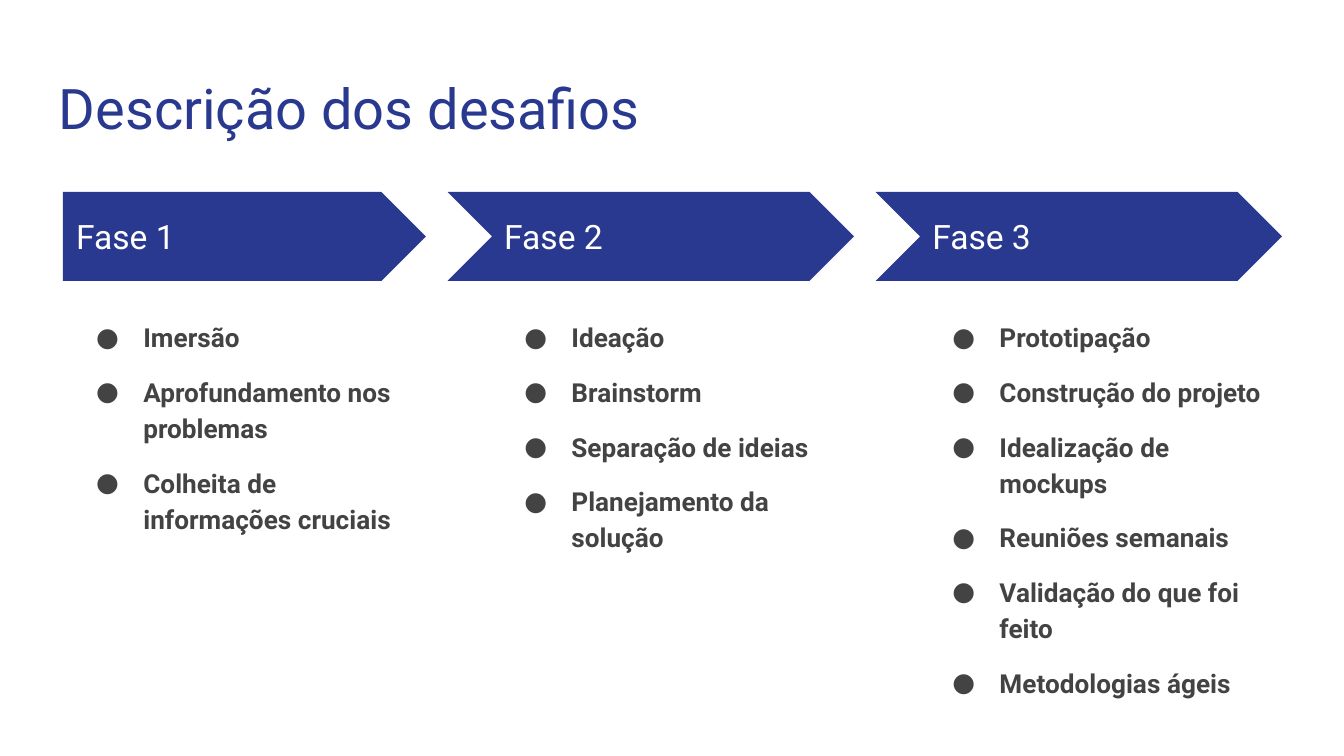
from lxml import etree
from pptx import Presentation
from pptx import util as u
from pptx.dml.color import RGBColor
from pptx.enum import shapes, text
from pptx.oxml.ns import qn

BLUE, GREY, WHITE = "2A3990", "434343", "FFFFFF"
FONT = "Roboto"
PHASES = [
    ("Fase 1", ["Imersão", "Aprofundamento nos problemas",
                "Colheita de informações cruciais"]),
    ("Fase 2", ["Ideação", "Brainstorm", "Separação de ideias",
                "Planejamento da solução"]),
    ("Fase 3", ["Prototipação", "Construção do projeto", "Idealização de mockups",
                "Reuniões semanais", "Validação do que foi feito",
                "Metodologias ágeis"]),
]


def style(para, size, color, bold=False):
    para.font.name = FONT
    para.font.size = u.Pt(size)
    para.font.bold = bold
    para.font.color.rgb = RGBColor.from_string(color)


def set_frame(box, anchor):
    frame = box.text_frame
    frame.word_wrap = True
    frame.auto_size = text.MSO_AUTO_SIZE.NONE
    frame.vertical_anchor = anchor
    frame.margin_left = frame.margin_right = u.Cm(0.25)
    frame.margin_top = frame.margin_bottom = u.Cm(0.25)
    return frame


deck = Presentation()
deck.slide_width, deck.slide_height = u.Cm(25.4), u.Cm(14.29)
page = deck.slides.add_slide(deck.slide_layouts[5])

# Title
title = page.shapes.title
title.left, title.top = u.Cm(0.86), u.Cm(1.14)
title.width, title.height = u.Cm(23.67), u.Cm(1.68)
frame = set_frame(title, text.MSO_ANCHOR.TOP)
frame.text = "Descrição dos desafios"
frame.paragraphs[0].alignment = text.PP_ALIGN.LEFT
style(frame.paragraphs[0], 30, BLUE)

# One column per phase; later arrows start further left to interlock
left, step = 1.19, 8.09
arrow_width, overlap = 6.86, 0.82
for index, (name, items) in enumerate(PHASES):
    column = left + index * step

    # Arrow
    kind = shapes.MSO_SHAPE.CHEVRON if index else shapes.MSO_SHAPE.PENTAGON
    notch = overlap if index else 0
    arrow = page.shapes.add_shape(kind, u.Cm(column - notch), u.Cm(3.63),
                                  u.Cm(arrow_width + notch), u.Cm(1.68))
    arrow.adjustments[0] = 0.5
    arrow.shadow.inherit = False
    arrow.fill.solid()
    arrow.fill.fore_color.rgb = RGBColor.from_string(BLUE)
    arrow.line.fill.background()

    # Phase name
    label = page.shapes.add_textbox(u.Cm(column), u.Cm(4.04), u.Cm(6.27), u.Cm(0.86))
    frame = set_frame(label, text.MSO_ANCHOR.MIDDLE)
    frame.text = name
    style(frame.paragraphs[0], 18, WHITE)

    # Bulleted challenges
    height = 9.22 if len(items) > 4 else 7.37
    box = page.shapes.add_textbox(u.Cm(column), u.Cm(5.74), u.Cm(6.86), u.Cm(height))
    frame = set_frame(box, text.MSO_ANCHOR.TOP)
    frame.text = "\n".join(items)
    for para in frame.paragraphs:
        style(para, 14, GREY, bold=True)
        para.line_spacing = 1.15
        para.space_before = u.Pt(10)
        props = para._p.get_or_add_pPr()
        props.set("marL", str(u.Cm(1.27)))
        props.set("indent", str(-u.Cm(0.89)))
        bullet_color = etree.Element(qn("a:buClr"))
        etree.SubElement(bullet_color, qn("a:srgbClr"), val=GREY)
        bullet_font = etree.Element(qn("a:buFont"), typeface=FONT)
        bullet = etree.Element(qn("a:buChar"), char="●")
        place = props.index(props.find(qn("a:defRPr")))
        props[place:place] = [bullet_color, bullet_font, bullet]

deck.save("out.pptx")
